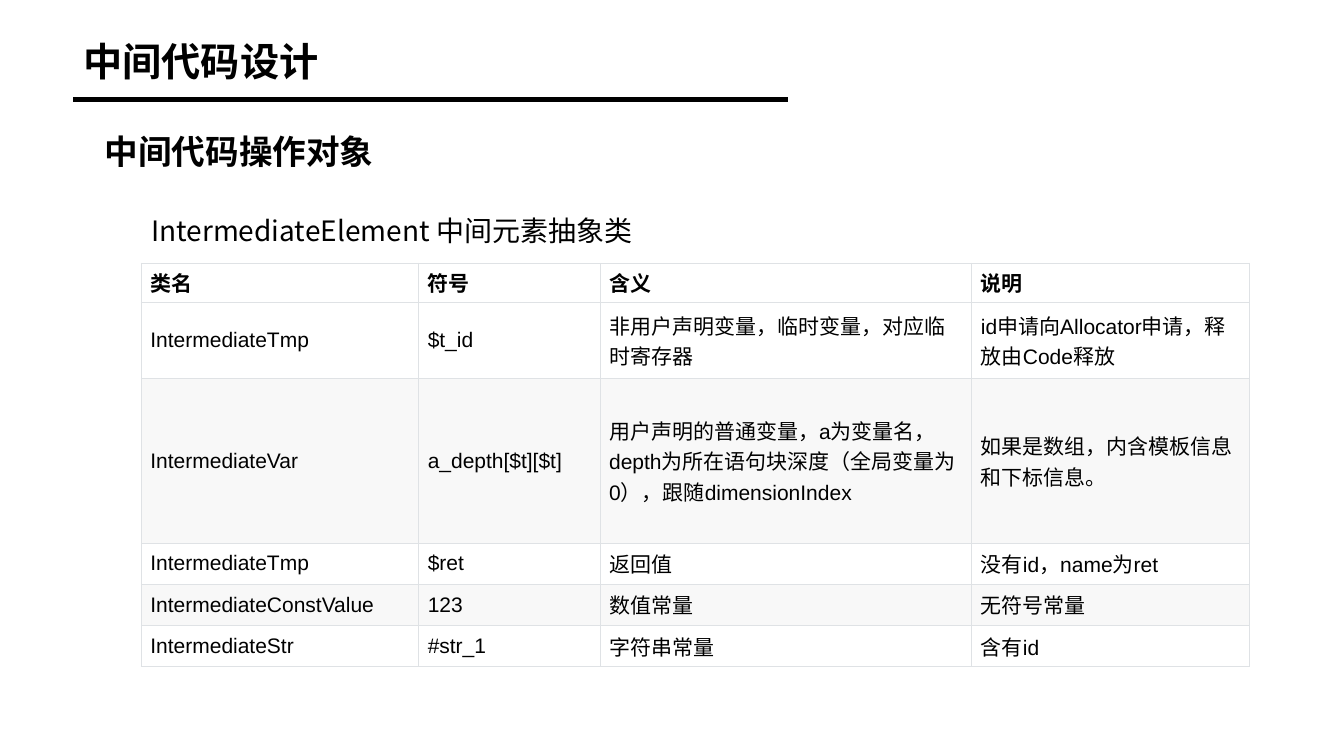
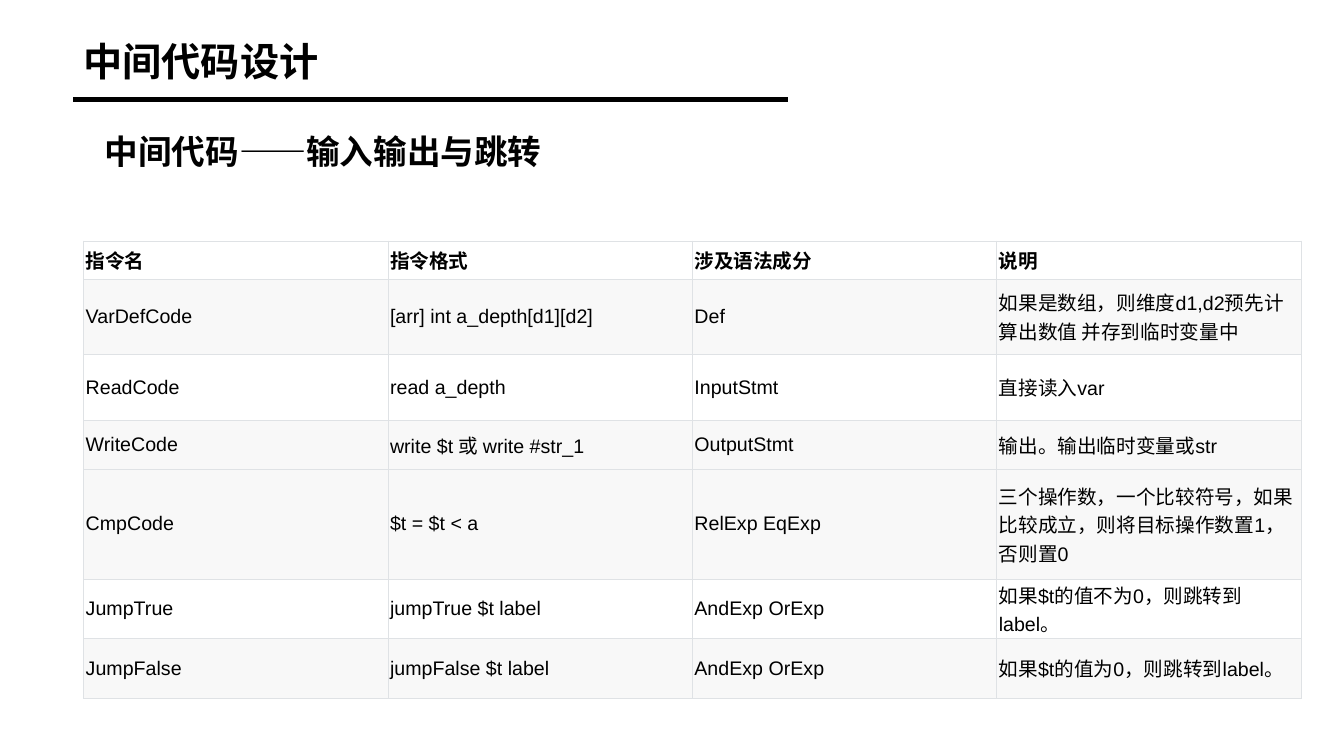
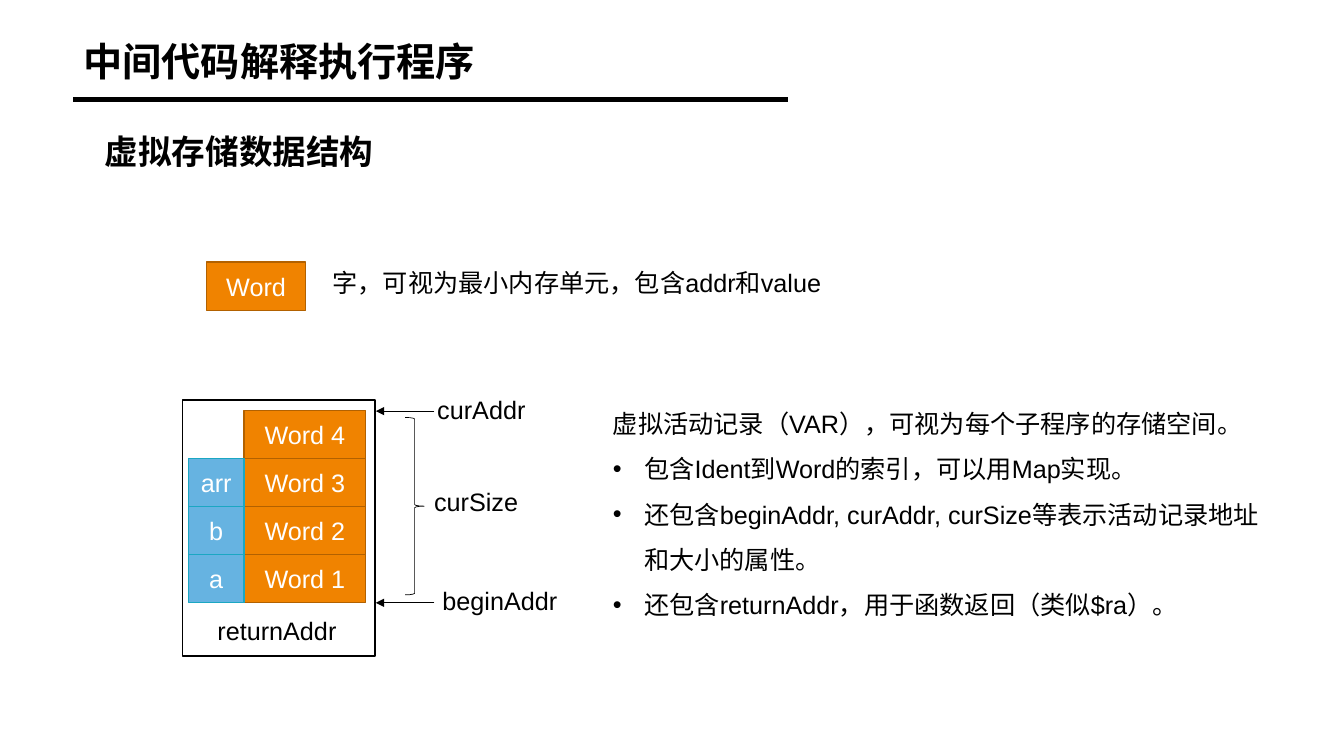
"""Builds three slides on intermediate code and its virtual storage."""
from dataclasses import dataclass

from pptx import Presentation
from pptx.dml.color import RGBColor as RGB
from pptx.enum.shapes import MSO_CONNECTOR as CONN, MSO_SHAPE as SHAPE
from pptx.enum.text import MSO_ANCHOR as ANCHOR, MSO_AUTO_SIZE as FIT, PP_ALIGN as ALIGN
from pptx.oxml.ns import qn
from pptx.oxml.xmlchemy import OxmlElement as element
from pptx.util import Cm, Pt


@dataclass(frozen=True)
class Theme:
    latin: str = "Arial"
    cjk: str = "Noto Sans CJK SC"
    ink: str = "000000"
    paper: str = "FFFFFF"
    band: str = "F8F8F8"
    grid: str = "DFE2E5"
    word: tuple = ("F08300", "B26100")
    ident: tuple = ("66B3E1", "1BA7C3")
    title: int = 28
    subtitle: int = 24
    lead: int = 20
    body: int = 18
    list_pitch: float = 32.4
    tight: float = 0.9
    loose: float = 1.5


class Deck:
    def __init__(self, theme):
        self.prs = Presentation()
        self.prs.slide_width, self.prs.slide_height = Cm(33.87), Cm(19.05)
        self.theme = theme
        self.s = None

    def run(self, p, text, size, color=None, bold=False, font=None):
        r = p.add_run()
        r.text = text
        r.font.size, r.font.bold = Pt(size), bold
        r.font.color.rgb = RGB.from_string(color or self.theme.ink)
        r.font.name = font or self.theme.latin
        ea = element("a:ea")
        ea.set("typeface", self.theme.cjk)
        r.font._element.append(ea)

    def place(self, sp, x, y, w, h):
        sp.left, sp.top, sp.width, sp.height = Cm(x), Cm(y), Cm(w), Cm(h)
        tf = sp.text_frame
        tf.word_wrap, tf.auto_size, tf.vertical_anchor = True, FIT.NONE, ANCHOR.TOP
        return tf

    def slide(self, title, subtitle, layout=5):
        t = self.theme
        self.s = self.prs.slides.add_slide(self.prs.slide_layouts[layout])
        p = self.place(self.s.shapes.title, 1.85, 0.94, 30.15, 1.78).paragraphs[0]
        p.alignment, p.line_spacing = ALIGN.LEFT, t.tight
        self.run(p, title, t.title, bold=True)
        self.text(subtitle, 2.39, 3.28, 14, 1.45, t.subtitle, bold=True, spacing=t.tight)
        self.line(1.85, 2.51, 19.86, 2.51, 3)

    def text(self, text, x, y, w, h=1.03, size=None, bold=False, font=None, spacing=1.0):
        sp = self.s.shapes.add_textbox(0, 0, 0, 0)
        p = self.place(sp, x, y, w, h).paragraphs[0]
        p.line_spacing = spacing
        self.run(p, text, size or self.theme.body, bold=bold, font=font)

    def list(self, lead, items, x, y, w, h):
        tf = self.place(self.s.placeholders[1], x, y, w, h)
        for i, text in enumerate([lead, *items]):
            p = tf.add_paragraph() if i else tf.paragraphs[0]
            p.line_spacing, p.space_before = Pt(self.theme.list_pitch), Pt(0)
            pPr = p._p.get_or_add_pPr()
            indent = Cm(0.79) if i else 0
            pPr.set("marL", str(indent))
            pPr.set("indent", str(-indent))
            if not i:
                pPr.append(element("a:buNone"))
            self.run(p, text, self.theme.body)

    def line(self, x1, y1, x2, y2, width, arrow=False):
        cx = self.s.shapes.add_connector(CONN.STRAIGHT, Cm(x1), Cm(y1), Cm(x2), Cm(y2))
        cx.line.color.rgb = RGB.from_string(self.theme.ink)
        cx.line.width = Pt(width)
        spPr = cx._element.spPr
        if arrow:
            tail = element("a:tailEnd")
            tail.set("type", "triangle")
            spPr.find(qn("a:ln")).append(tail)
        spPr.append(element("a:effectLst"))

    def shape(self, kind, x, y, w, h, width=1, colors=None, text=None):
        sp = self.s.shapes.add_shape(kind, Cm(x), Cm(y), Cm(w), Cm(h))
        sp.shadow.inherit = False
        fill, edge = colors or (None, self.theme.ink)
        if fill:
            sp.fill.solid()
            sp.fill.fore_color.rgb = RGB.from_string(fill)
        else:
            sp.fill.background()
        sp.line.color.rgb = RGB.from_string(edge)
        sp.line.width = Pt(width)
        if text:
            tf = sp.text_frame
            tf.vertical_anchor = ANCHOR.MIDDLE
            p = tf.paragraphs[0]
            p.alignment = ALIGN.CENTER
            self.run(p, text, self.theme.body, self.theme.paper)

    def border(self, cell):
        tcPr = cell._tc.get_or_add_tcPr()
        for side in ("lnL", "lnR", "lnT", "lnB"):
            ln, fill, clr = element(f"a:{side}"), element("a:solidFill"), element("a:srgbClr")
            ln.set("w", str(Pt(0.6)))
            clr.set("val", self.theme.grid)
            fill.append(clr)
            ln.append(fill)
            tcPr.append(ln)

    def table(self, rows, x, y, widths, heights, size, insets, banded):
        frame = self.s.shapes.add_table(len(rows), len(widths), Cm(x), Cm(y),
                                        Cm(sum(widths)), Cm(sum(heights)))
        tbl = frame.table
        tbl.first_row = tbl.horz_banding = False
        for col, w in zip(tbl.columns, widths):
            col.width = Cm(w)
        for i, (row, h) in enumerate(zip(rows, heights)):
            tbl.rows[i].height = Cm(h)
            for j, text in enumerate(row):
                cell = tbl.cell(i, j)
                self.border(cell)
                cell.fill.solid()
                cell.fill.fore_color.rgb = RGB.from_string(
                    self.theme.band if i in banded else self.theme.paper)
                cell.margin_left = cell.margin_right = Cm(insets[0])
                cell.margin_top = cell.margin_bottom = Cm(insets[1])
                cell.vertical_anchor = ANCHOR.MIDDLE
                self.run(cell.text_frame.paragraphs[0], text, size, bold=i == 0)


ELEMENTS = [
    ("类名", "符号", "含义", "说明"),
    ("IntermediateTmp", "$t_id", "非用户声明变量，临时变量，对应临时寄存器",
     "id申请向Allocator申请，释放由Code释放"),
    ("IntermediateVar", "a_depth[$t][$t]",
     "用户声明的普通变量，a为变量名，depth为所在语句块深度（全局变量为0），跟随dimensionIndex",
     "如果是数组，内含模板信息和下标信息。"),
    ("IntermediateTmp", "$ret", "返回值", "没有id，name为ret"),
    ("IntermediateConstValue", "123", "数值常量", "无符号常量"),
    ("IntermediateStr", "#str_1", "字符串常量", "含有id"),
]

CODES = [
    ("指令名", "指令格式", "涉及语法成分", "说明"),
    ("VarDefCode", "[arr] int a_depth[d1][d2]", "Def",
     "如果是数组，则维度d1,d2预先计算出数值 并存到临时变量中"),
    ("ReadCode", "read a_depth", "InputStmt", "直接读入var"),
    ("WriteCode", "write $t 或 write #str_1", "OutputStmt", "输出。输出临时变量或str"),
    ("CmpCode", "$t = $t < a", "RelExp EqExp",
     "三个操作数，一个比较符号，如果比较成立，则将目标操作数置1，否则置0"),
    ("JumpTrue", "jumpTrue $t label", "AndExp OrExp", "如果$t的值不为0，则跳转到label。"),
    ("JumpFalse", "jumpFalse $t label", "AndExp OrExp", "如果$t的值为0，则跳转到label。"),
]


def elements_slide(deck):
    deck.slide("中间代码设计", "中间代码操作对象")
    deck.text("IntermediateElement 中间元素抽象类", 3.56, 4.83, 17.32, 1.45,
              deck.theme.lead, font=deck.theme.cjk, spacing=deck.theme.loose)
    deck.table(ELEMENTS, 3.56, 6.63, [6.99, 4.57, 9.37, 6.99],
               [0.98, 1.93, 4.14, 1.04, 1.04, 1.04], 15, (0.23, 0.1), {2, 4})


def codes_slide(deck):
    deck.slide("中间代码设计", "中间代码——输入输出与跳转")
    deck.table(CODES, 2.11, 6.07, [7.67] * 4,
               [0.97, 1.88, 1.68, 1.22, 2.77, 1.49, 1.49], 14, (0.05, 0.03), {1, 3, 4, 6})


def storage_slide(deck):
    t = deck.theme
    deck.slide("中间代码解释执行程序", "虚拟存储数据结构", layout=1)
    deck.shape(SHAPE.RECTANGLE, 5.21, 6.6, 2.49, 1.22, colors=t.word, text="Word")
    deck.text("字，可视为最小内存单元，包含addr和value", 8.13, 6.6, 12.95, 1.8)

    deck.shape(SHAPE.RECTANGLE, 4.6, 10.08, 4.85, 6.45)
    base, step = 13.97, 1.21
    for i in range(4):
        deck.shape(SHAPE.RECTANGLE, 6.15, base - i * step, 3.07, step,
                   colors=t.word, text=f"Word {i + 1}")
    for i, name in enumerate(("a", "b", "arr")):
        deck.shape(SHAPE.RECTANGLE, 4.75, base - i * step, 1.4, step,
                   colors=t.ident, text=name)
    deck.text("returnAddr", 5.23, 15.39, 3.7)

    for name, x, y in (("curAddr", 10.77, 10.36), ("beginAddr", 10.9, 15.19)):
        deck.line(10.95, y, 9.47, y, 0.5, arrow=True)
        deck.text(name, x, y - 0.56, 3.6)
    deck.shape(SHAPE.RIGHT_BRACE, 10.21, 10.52, 0.48, 4.47, width=0.5)
    deck.text("curSize", 10.69, 12.14, 2.8)

    deck.list("虚拟活动记录（VAR），可视为每个子程序的存储空间。",
              ["包含Ident到Word的索引，可以用Map实现。",
               "还包含beginAddr, curAddr, curSize等表示活动记录地址和大小的属性。",
               "还包含returnAddr，用于函数返回（类似$ra）。"],
              15.19, 9.78, 17.25, 5.89)


def main():
    deck = Deck(Theme())
    for build in (elements_slide, codes_slide, storage_slide):
        build(deck)
    deck.prs.save("out.pptx")


if __name__ == "__main__":
    main()
